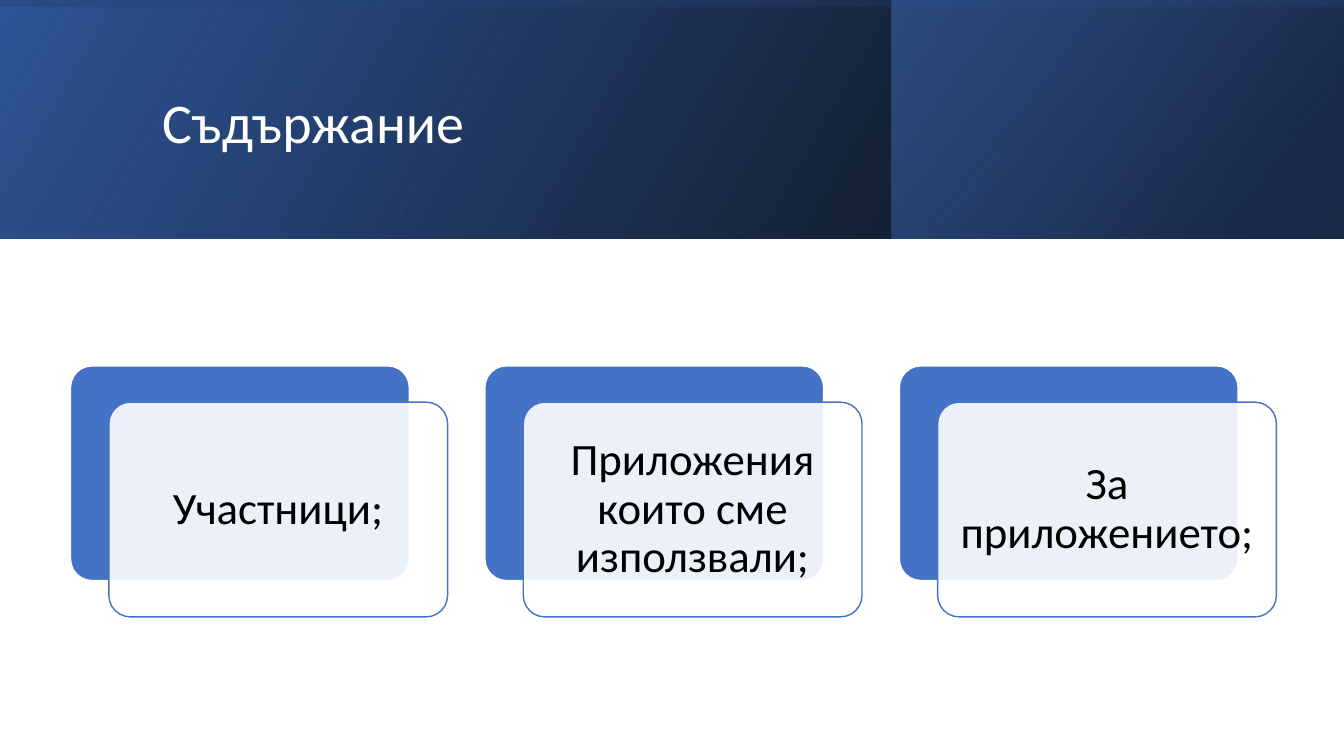
import dataclasses

import lxml.etree
import pptx
import pptx.dml.color
import pptx.enum.shapes
import pptx.enum.text
import pptx.oxml
import pptx.oxml.ns
import pptx.util

Inches = pptx.util.Inches
ShapeType = pptx.enum.shapes.MSO_SHAPE
Align = pptx.enum.text.PP_ALIGN


@dataclasses.dataclass(frozen=True)
class Theme:
    """Colours, font and type sizes of the slide."""
    white: str = "FFFFFF"
    black: str = "000000"
    blue: str = "4472C4"
    deep_blue: str = "2F5597"
    navy: str = "203864"
    font: str = "Calibri"
    title_size: int = 40
    card_size: int = 32
    line_spacing: float = 0.9
    outline: int = 1


THEME = Theme()
TOPICS = ["Участници;", "Приложения които сме използвали;", "За приложението;"]


def rgb(color):
    """Turn a hex string into a colour."""
    return pptx.dml.color.RGBColor.from_string(color)


def add_block(slide, kind, box):
    """Add a shape without shadow in a box of left, top, width, height."""
    shape = slide.shapes.add_shape(kind, *map(Inches, box))
    shape.shadow.inherit = False
    return shape


def add_gradient_panel(slide, box, stops, angle, rotation=0):
    """Add a mirrored rectangle with stops of position, colour and opacity."""
    panel = add_block(slide, ShapeType.RECTANGLE, box)
    panel.line.fill.background()
    panel.rotation = rotation
    properties = panel.element.spPr
    properties.find(pptx.oxml.ns.qn("a:xfrm")).set("flipH", "1")
    stop_xml = "".join(
        f'<a:gs pos="{position * 1000}"><a:srgbClr val="{color}">'
        f'<a:alpha val="{opacity * 1000}"/></a:srgbClr></a:gs>'
        for position, color, opacity in stops)
    gradient = pptx.oxml.parse_xml(
        f'<a:gradFill {pptx.oxml.ns.nsdecls("a")} rotWithShape="1">'
        f'<a:gsLst>{stop_xml}</a:gsLst>'
        f'<a:lin ang="{angle * 60000}" scaled="0"/></a:gradFill>')
    properties.find(pptx.oxml.ns.qn("a:prstGeom")).addnext(gradient)


def write_text(shape, text, size, color, alignment, inset):
    """Write one middle-anchored paragraph into a shape."""
    frame = shape.text_frame
    frame.word_wrap = True
    frame.vertical_anchor = pptx.enum.text.MSO_ANCHOR.MIDDLE
    frame.margin_left = frame.margin_right = Inches(inset)
    frame.margin_top = frame.margin_bottom = Inches(inset)
    paragraph = frame.paragraphs[0]
    paragraph.alignment = alignment
    paragraph.line_spacing = THEME.line_spacing
    run = paragraph.add_run()
    run.text = text
    run.font.name = THEME.font
    run.font.size = pptx.util.Pt(size)
    run.font.color.rgb = rgb(color)


def add_header(slide, box, title):
    """Build the layered gradient band and its title."""
    left, top, width, height = box
    add_gradient_panel(
        slide, box, [(0, THEME.black, 96), (100, THEME.deep_blue, 100)], 330)
    side_width = 4.48
    side_left = left + width - side_width - 0.01
    add_gradient_panel(
        slide, (side_left, top, side_width, height),
        [(19, THEME.navy, 68), (100, THEME.blue, 48)], 320)
    shift = (width - height) / 2
    add_gradient_panel(
        slide, (left + shift, top - shift, height, width),
        [(23, THEME.deep_blue, 16), (99, THEME.black, 45)], 350, rotation=270)
    title_box = (left + 1.51, top + 0.38, 10.63, 1.72)
    text_box = slide.shapes.add_textbox(*map(Inches, title_box))
    write_text(text_box, title, THEME.title_size, THEME.white, Align.LEFT, 0.1)


def add_rounded_panel(slide, box, fill, line):
    """Add a rounded rectangle with a plain fill and outline."""
    panel = add_block(slide, ShapeType.ROUNDED_RECTANGLE, box)
    panel.adjustments[0] = 0.1
    panel.fill.solid()
    panel.fill.fore_color.rgb = rgb(fill)
    panel.line.color.rgb = rgb(line)
    panel.line.width = pptx.util.Pt(THEME.outline)
    return panel


def add_topic(slide, box, text):
    """Build a blue panel with a translucent text card set over it."""
    left, top, width, height = box
    add_rounded_panel(slide, box, THEME.blue, THEME.white)
    card = add_rounded_panel(
        slide, (left + 0.38, top + 0.36, width, height), THEME.white, THEME.blue)
    color = card.element.spPr.find(
        f'{pptx.oxml.ns.qn("a:solidFill")}/{pptx.oxml.ns.qn("a:srgbClr")}')
    lxml.etree.SubElement(color, pptx.oxml.ns.qn("a:alpha")).set("val", "90000")
    write_text(card, text, THEME.card_size, THEME.black, Align.CENTER, 0.13)


def add_topics(slide, box, topics):
    """Place the topics in a row of equal steps."""
    left, top, width, height = box
    step = 4.11
    for index, topic in enumerate(topics):
        add_topic(slide, (left + index * step, top, width, height), topic)


def main():
    """Create the contents slide."""
    presentation = pptx.Presentation()
    presentation.slide_width = Inches(13.33)
    presentation.slide_height = Inches(7.5)
    slide = presentation.slides.add_slide(presentation.slide_layouts[6])
    add_header(slide, (0, 0, 13.33, 2.37), "Съдържание")
    add_topics(slide, (0.7, 3.63, 3.36, 2.13), TOPICS)
    presentation.save("out.pptx")


if __name__ == "__main__":
    main()
